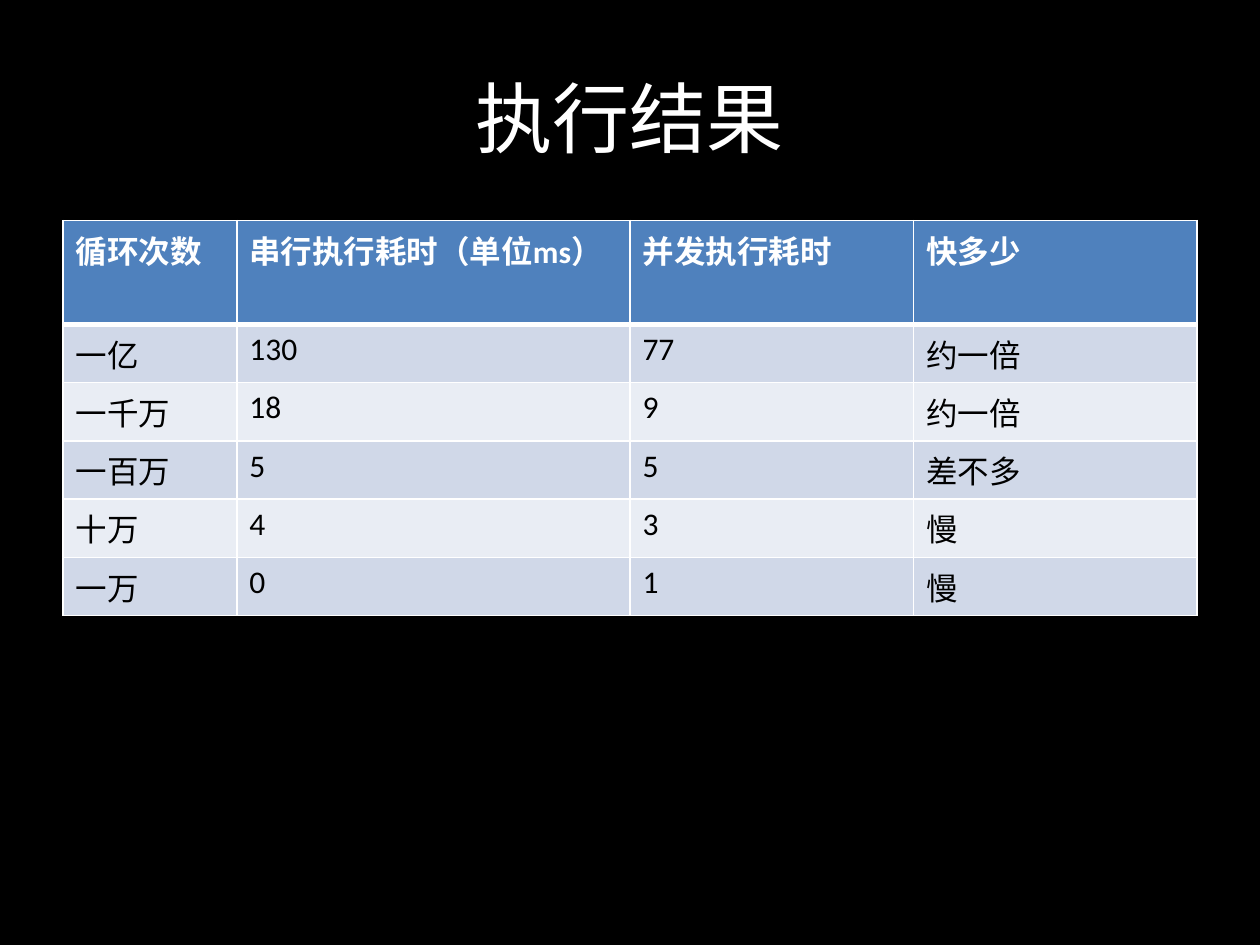
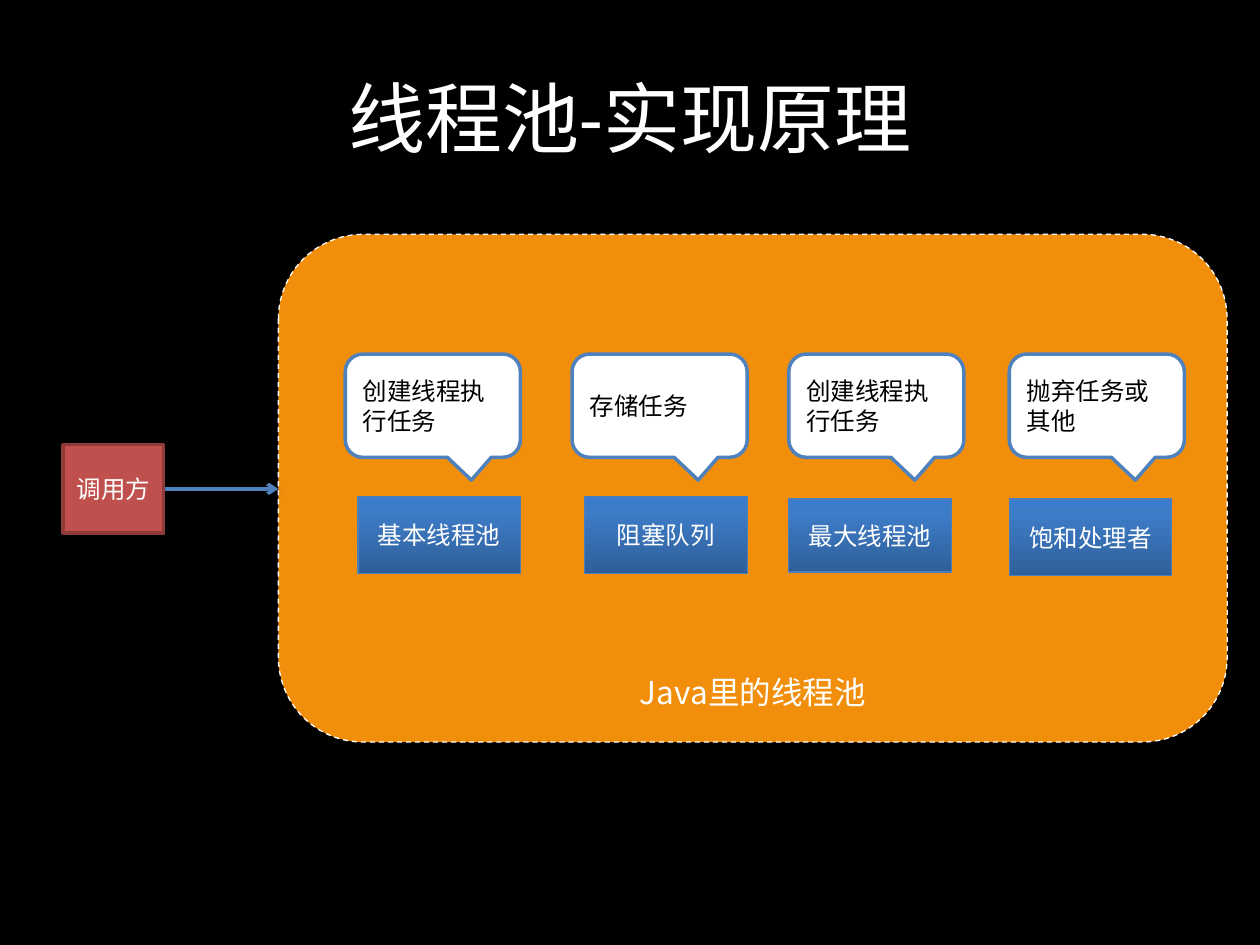
from dataclasses import dataclass
from copy import deepcopy

from lxml import etree
from pptx import Presentation
from pptx.dml.color import RGBColor
from pptx.enum.dml import MSO_LINE_DASH_STYLE
from pptx.enum.shapes import MSO_CONNECTOR_TYPE, MSO_SHAPE
from pptx.enum.text import MSO_ANCHOR, PP_ALIGN
from pptx.oxml.ns import qn
from pptx.util import Inches, Pt

RECTANGLE = MSO_SHAPE.RECTANGLE
ROUNDED = MSO_SHAPE.ROUNDED_RECTANGLE
CALLOUT = MSO_SHAPE.ROUNDED_RECTANGULAR_CALLOUT
STRAIGHT = MSO_CONNECTOR_TYPE.STRAIGHT
DASH = MSO_LINE_DASH_STYLE.DASH
LEFT, CENTER = PP_ALIGN.LEFT, PP_ALIGN.CENTER
TOP, MIDDLE, BOTTOM = MSO_ANCHOR.TOP, MSO_ANCHOR.MIDDLE, MSO_ANCHOR.BOTTOM


@dataclass(frozen=True)
class Theme:
    background: str = "000000"
    light: str = "FFFFFF"
    dark: str = "000000"
    accent: str = "4F81BD"
    bands: tuple = ("D0D8E8", "E9EDF4")
    pool: str = "F18F0D"
    caller: str = "C0504D"
    caller_line: str = "8E3B39"
    stage_line: str = "4B7EBC"
    stage_gradient: tuple = ((0, "2F5F99"), (0.8, "3D7CC7"), (1, "3A7CCB"))
    font: str = "Calibri"
    east_asian_font: str = "Noto Sans CJK SC"
    title_size: int = 44
    body_size: int = 18
    label_size: int = 14


@dataclass(frozen=True)
class Grid:
    width: float = 10
    height: float = 7.5
    columns: int = 100
    rows: int = 75

    def x(self, columns: float) -> int:
        return Inches(self.width * columns / self.columns)

    def y(self, rows: float) -> int:
        return Inches(self.height * rows / self.rows)


@dataclass(frozen=True)
class Box:
    column: float
    row: float
    width: float
    height: float

    def place(self) -> tuple:
        return (GRID.x(self.column), GRID.y(self.row),
                GRID.x(self.width), GRID.y(self.height))


@dataclass(frozen=True)
class TextStyle:
    size: int
    color: str
    font: str
    align: PP_ALIGN = CENTER
    anchor: MSO_ANCHOR = MIDDLE
    bold: bool = False


@dataclass(frozen=True)
class Outline:
    color: str
    width: float


@dataclass(frozen=True)
class Stage:
    name: str
    note: str
    box: Box
    note_column: float


THEME = Theme()
GRID = Grid()

TITLE_BOX = Box(5, 3, 90, 12.5)
TITLE_STYLE = TextStyle(THEME.title_size, THEME.light, THEME.font)
HEADER_STYLE = TextStyle(THEME.body_size, THEME.light, THEME.font, LEFT, TOP, True)
CELL_STYLE = TextStyle(THEME.body_size, THEME.dark, THEME.font, LEFT, TOP)
POOL_STYLE = TextStyle(THEME.body_size, THEME.light, THEME.east_asian_font, CENTER, BOTTOM)
LABEL_STYLE = TextStyle(THEME.label_size, THEME.light, THEME.font)
NOTE_STYLE = TextStyle(THEME.label_size, THEME.dark, THEME.east_asian_font, LEFT)

RESULT_BOX = Box(5, 17.5, 90, 24.3)
RESULT_COLUMNS = (13.8, 31.2, 22.5, 22.5)
RESULTS = (
    ("循环次数", "串行执行耗时（单位ms）", "并发执行耗时", "快多少"),
    ("一亿", "130", "77", "约一倍"),
    ("一千万", "18", "9", "约一倍"),
    ("一百万", "5", "5", "差不多"),
    ("十万", "4", "3", "慢"),
    ("一万", "0", "1", "慢"),
)

POOL_BOX = Box(22.1, 18.6, 75.3, 40.3)
CALLER_BOX = Box(5, 35.3, 8, 7)
NOTE_ROW, NOTE_WIDTH, NOTE_HEIGHT = 28.1, 13.9, 8.2
NOTE_ADJUSTMENTS = (0.22, 0.72, 0.17)
STAGES = (
    Stage("基本线程池", "创建线程执行任务", Box(28.4, 39.4, 12.9, 6.1), 27.4),
    Stage("阻塞队列", "存储任务", Box(46.4, 39.4, 12.9, 6.1), 45.4),
    Stage("最大线程池", "创建线程执行任务", Box(62.6, 39.6, 12.9, 5.8), 62.6),
    Stage("饱和处理者", "抛弃任务或其他", Box(80.1, 39.6, 12.9, 6.1), 80.1),
)


def rgb(color: str) -> RGBColor:
    return RGBColor.from_string(color)


def write(text_frame, text: str, style: TextStyle) -> None:
    text_frame.text = text
    text_frame.vertical_anchor = style.anchor
    paragraph = text_frame.paragraphs[0]
    paragraph.alignment = style.align
    for run in paragraph.runs:
        run.font.size = Pt(style.size)
        run.font.bold = style.bold
        run.font.color.rgb = rgb(style.color)
        run.font.name = style.font
        east_asian = etree.SubElement(run.font._element, qn("a:ea"))
        east_asian.set("typeface", THEME.east_asian_font)


def add_titled_slide(presentation, title: str):
    slide = presentation.slides.add_slide(presentation.slide_layouts[5])
    shape = slide.shapes.title
    shape.left, shape.top, shape.width, shape.height = TITLE_BOX.place()
    write(shape.text_frame, title, TITLE_STYLE)
    return slide


def add_shadow(effects, alpha: int, distance: float) -> None:
    shadow = etree.SubElement(effects, qn("a:outerShdw"), blurRad=str(Pt(3.1)),
                              dist=str(Pt(distance)), dir="5400000", rotWithShape="0")
    color = etree.SubElement(shadow, qn("a:srgbClr"), val=THEME.dark)
    etree.SubElement(color, qn("a:alpha"), val=str(alpha * 1000))


def draw_outline(line, outline: Outline) -> None:
    line.color.rgb = rgb(outline.color)
    line.width = Pt(outline.width)


def add_block(slide, kind: MSO_SHAPE, box: Box, fill: str, outline: Outline,
              text: str, style: TextStyle):
    shape = slide.shapes.add_shape(kind, *box.place())
    shape.shadow.inherit = False
    shape.fill.solid()
    shape.fill.fore_color.rgb = rgb(fill)
    draw_outline(shape.line, outline)
    write(shape.text_frame, text, style)
    return shape


def fill_gradient(shape, stops: tuple) -> None:
    shape.fill.gradient()
    shape.fill.gradient_angle = 90
    stop_list = shape._element.spPr.find(qn("a:gradFill")).find(qn("a:gsLst"))
    while len(stop_list) < len(stops):
        stop_list.append(deepcopy(stop_list[0]))
    for stop, (position, color) in zip(shape.fill.gradient_stops, stops):
        stop.position = position
        stop.color.rgb = rgb(color)


def add_arrow(slide, start: tuple, end: tuple, outline: Outline) -> None:
    connector = slide.shapes.add_connector(
        STRAIGHT, GRID.x(start[0]), GRID.y(start[1]), GRID.x(end[0]), GRID.y(end[1]))
    draw_outline(connector.line, outline)
    properties = connector._element.spPr
    etree.SubElement(properties.find(qn("a:ln")), qn("a:tailEnd"), type="arrow")
    add_shadow(etree.SubElement(properties, qn("a:effectLst")), 38, 1.6)


def border_cell(cell, widths: dict) -> None:
    properties = cell._tc.get_or_add_tcPr()
    for index, (side, width) in enumerate(widths.items()):
        line = etree.Element(qn(f"a:ln{side}"), w=str(Pt(width)))
        fill = etree.SubElement(line, qn("a:solidFill"))
        etree.SubElement(fill, qn("a:srgbClr"), val=THEME.light)
        properties.insert(index, line)


def add_result_table(slide) -> None:
    frame = slide.shapes.add_table(len(RESULTS), len(RESULT_COLUMNS), *RESULT_BOX.place())
    table = frame.table
    table.horz_banding = False
    for column, width in zip(table.columns, RESULT_COLUMNS):
        column.width = GRID.x(width)
    for row_index, values in enumerate(RESULTS):
        header = row_index == 0
        color = THEME.accent if header else THEME.bands[(row_index - 1) % 2]
        widths = {"L": 1, "R": 1, "T": 3 if row_index == 1 else 1, "B": 3 if header else 1}
        for column_index, value in enumerate(values):
            cell = table.cell(row_index, column_index)
            cell.fill.solid()
            cell.fill.fore_color.rgb = rgb(color)
            border_cell(cell, widths)
            write(cell.text_frame, value, HEADER_STYLE if header else CELL_STYLE)


def add_pool_diagram(slide) -> None:
    pool = add_block(slide, ROUNDED, POOL_BOX, THEME.pool, Outline(THEME.light, 0.75),
                     "Java里的线程池", POOL_STYLE)
    pool.line.dash_style = DASH
    add_shadow(pool._element.spPr.find(qn("a:effectLst")), 35, 1.8)

    middle = CALLER_BOX.row + CALLER_BOX.height / 2
    add_arrow(slide, (CALLER_BOX.column + CALLER_BOX.width, middle),
              (POOL_BOX.column, middle), Outline(THEME.accent, 2))
    add_block(slide, RECTANGLE, CALLER_BOX, THEME.caller, Outline(THEME.caller_line, 2),
              "调用方", LABEL_STYLE)

    for stage in STAGES:
        block = add_block(slide, RECTANGLE, stage.box, THEME.accent,
                          Outline(THEME.stage_line, 0.75), stage.name, LABEL_STYLE)
        fill_gradient(block, THEME.stage_gradient)
        note_box = Box(stage.note_column, NOTE_ROW, NOTE_WIDTH, NOTE_HEIGHT)
        note = add_block(slide, CALLOUT, note_box, THEME.light, Outline(THEME.accent, 2),
                         stage.note, NOTE_STYLE)
        for index, value in enumerate(NOTE_ADJUSTMENTS):
            note.adjustments[index] = value


def build() -> None:
    presentation = Presentation()
    presentation.slide_width = Inches(GRID.width)
    presentation.slide_height = Inches(GRID.height)
    background = presentation.slide_master.background.fill
    background.solid()
    background.fore_color.rgb = rgb(THEME.background)
    add_result_table(add_titled_slide(presentation, "执行结果"))
    add_pool_diagram(add_titled_slide(presentation, "线程池-实现原理"))
    presentation.save("out.pptx")


build()
